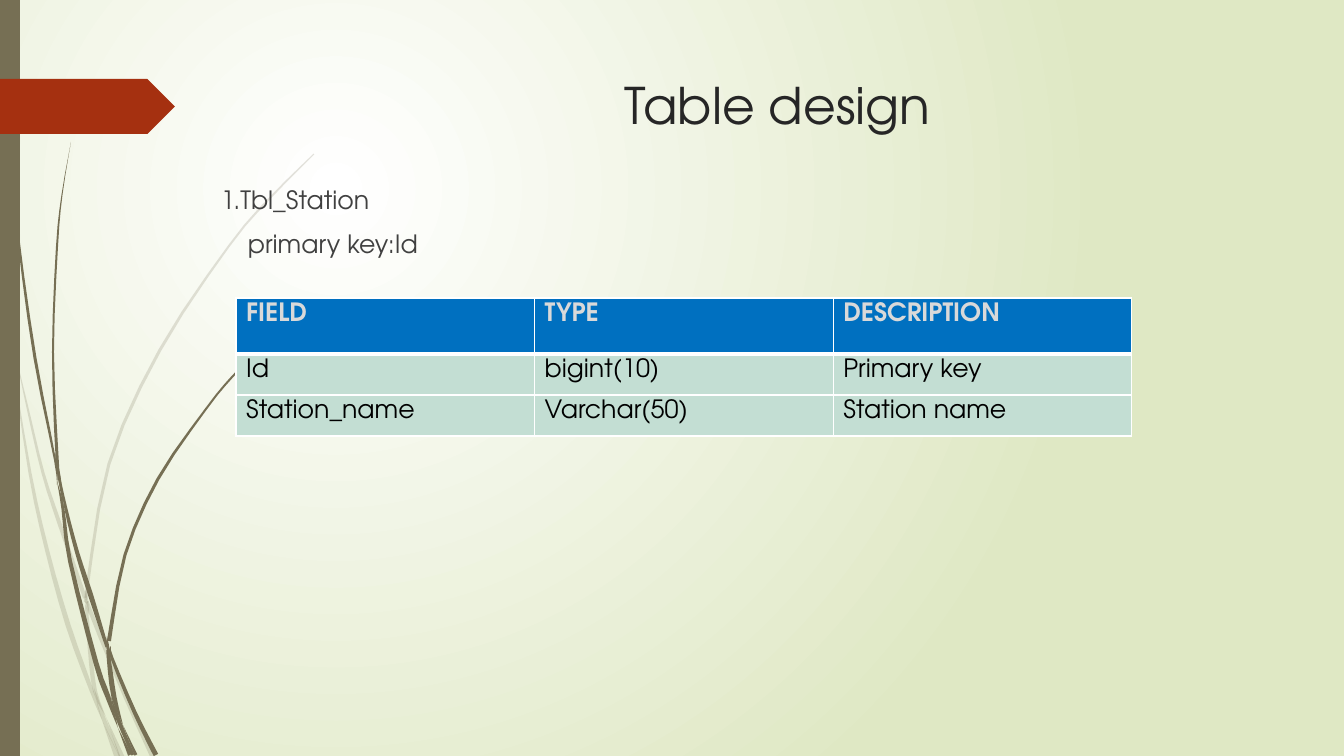
"""Build the "Table design" slide with its wispy side decoration."""
import math
from dataclasses import dataclass

from lxml import etree
from pptx import Presentation
from pptx import util as u
from pptx.dml.color import RGBColor
from pptx.enum import shapes, text
from pptx.oxml import ns

PX = 914400 / 100.8


@dataclass(frozen=True)
class Theme:
    font: str = "TeX Gyre Adventor"
    title_size: int = 36
    body_size: int = 18
    title: str = "262626"
    body: str = "404040"
    stem: str = "766F54"
    tag: str = "A53010"
    bg_inner: str = "FFFFFF"
    bg_outer: str = "DFE8C4"
    head_fill: str = "0070C0"
    head_text: str = "D9D9D9"
    cell_fill: str = "C3DED3"
    cell_text: str = "000000"
    border: str = "FFFFFF"


T = Theme()

PALE_BLADES = [
    [(0, 293, 4), (6, 325, 3), (11, 353, 0)],
    [(14, 348, 0), (28, 410, 2), (43, 473, 3), (60, 525, 4), (85, 598, 4)],
    [(89, 601, 0), (91, 613, 4), (126, 698, 4), (153, 757, 5)],
    [(106, 717, 0), (122, 757, 5)],
    [(11, 353, 0), (30, 473, 3), (47, 550, 4), (68, 625, 5), (91, 689, 4), (102, 720, 0)],
    [(85, 604, 0), (87, 615, 3), (90, 651, 4), (95, 691, 4), (106, 717, 0)],
    [(314, 154, 1), (270, 198, 2), (229, 246, 2), (160, 350, 3), (109, 464, 3),
     (87, 589, 3), (87, 601, 3)],
    [(102, 720, 0), (117, 757, 5)],
    [(86, 591, 1), (87, 604, 3), (89, 615, 0)],
    [(94, 688, 0), (103, 717, 4), (120, 757, 1)],
]
DARK_BLADES = [
    [(4, 0, 1), (7, 111, 1), (18, 235, 2), (35, 358, 3), (55, 460, 2), (57, 485, 0)],
    [(60, 476, 0), (66, 509, 3), (77, 552, 4), (91, 596, 5), (107, 647, 3)],
    [(111, 646, 0), (112, 658, 3), (135, 713, 4), (156, 755, 5)],
    [(57, 481, 0), (63, 509, 3), (70, 561, 4), (96, 663, 5), (108, 697, 5), (118, 728, 0)],
    [(71, 142, 0), (62, 195, 1), (57, 247, 2), (53, 352, 2), (57, 455, 3), (60, 476, 0)],
    [(123, 725, 0), (136, 755, 3)],
    [(55, 453, 0), (59, 476, 3), (64, 509, 0)],
    [(262, 347, 1), (233, 376, 2), (206, 409, 2), (158, 479, 3), (125, 555, 3),
     (109, 641, 4)],
    [(118, 728, 0), (130, 755, 4)],
    [(107, 650, 1), (109, 661, 4), (114, 697, 5), (123, 725, 0)],
    [(107, 636, 0), (108, 648, 3), (111, 661, 0)],
    [(111, 697, 0), (118, 719, 4), (133, 755, 3)],
]

ROWS = [
    ("FIELD", "TYPE", "DESCRIPTION"),
    ("Id", "bigint(10)", "Primary key"),
    ("Station_name", "Varchar(50)", "Station name"),
]


def emu(px):
    """Turn px into EMU."""
    return u.Emu(round(px * PX))


def rgb(code):
    """Turn a hex code into a colour."""
    return RGBColor.from_string(code)


def sub(parent, tag, **attrs):
    """Append a DrawingML child element."""
    return etree.SubElement(parent, ns.qn(tag), attrs)


def paint(sp, color):
    """Give a shape a flat fill without line or shadow."""
    sp.shadow.inherit = False
    sp.fill.solid()
    sp.fill.fore_color.rgb = rgb(color)
    sp.line.fill.background()


def style(p, size, color, bold=False):
    """Format the runs of a paragraph."""
    for r in p.runs:
        r.font.name = T.font
        r.font.size = u.Pt(size)
        r.font.bold = bold
        r.font.color.rgb = rgb(color)


def add_background(s):
    """Fill the background with a radial gradient."""
    fill = s.background.fill
    fill.gradient()
    for stop, color in zip(fill.gradient_stops, (T.bg_inner, T.bg_outer)):
        stop.color.rgb = rgb(color)
    grad = next(s.element.iter(ns.qn("a:gradFill")))
    grad.remove(grad.find(ns.qn("a:lin")))
    circle = sub(grad, "a:path", path="circle")
    sub(circle, "a:fillToRect", l="50000", t="50000", r="100000", b="100000")


def smooth(points, steps=3):
    """Run a Catmull-Rom curve through the points."""
    padded = [points[0], *points, points[-1]]
    curve = []
    for a, b, c, d in zip(padded, padded[1:], padded[2:], padded[3:]):
        for t in (i / steps for i in range(steps)):
            curve.append([
                (2 * q + (r - p) * t + (2 * p - 5 * q + 4 * r - v) * t ** 2
                 + (3 * q - p - 3 * r + v) * t ** 3) / 2
                for p, q, r, v in zip(a, b, c, d)])
    return curve + [points[-1]]


def add_blade(s, points, pale=False):
    """Draw a tapered blade along points of x, y and width."""
    curve = smooth(points)
    left, right = [], []
    for i, (x, y, width) in enumerate(curve):
        before, after = curve[max(i - 1, 0)], curve[min(i + 1, len(curve) - 1)]
        angle = math.atan2(after[1] - before[1], after[0] - before[0])
        half = max(width, 0) / 2
        dx, dy = math.sin(angle) * half, -math.cos(angle) * half
        left.append((emu(x + dx), emu(y + dy)))
        right.append((emu(x - dx), emu(y - dy)))
    outline = left + right[::-1]
    builder = s.shapes.build_freeform(*outline[0])
    builder.add_line_segments(outline[1:])
    sp = builder.convert_to_shape()
    paint(sp, T.stem)
    if pale:
        sub(next(sp.element.spPr.iter(ns.qn("a:srgbClr"))), "a:alpha", val="20000")


def add_block(s, kind, box, color):
    """Draw a flat preset shape."""
    paint(s.shapes.add_shape(kind, *map(emu, box)), color)


def add_text(s, box, lines, size, color, align=text.PP_ALIGN.LEFT):
    """Write lines, given as text and left indent, in a text box."""
    tf = s.shapes.add_textbox(*map(emu, box)).text_frame
    tf.word_wrap = True
    for i, (line, indent) in enumerate(lines):
        p = tf.add_paragraph() if i else tf.paragraphs[0]
        p.text = line
        p.alignment = align
        if i:
            p.space_before = u.Pt(10)
        if indent:
            p._p.get_or_add_pPr().set("marL", str(emu(indent)))
        style(p, size, color)


def add_borders(cell, bottom):
    """Outline a cell, with its own bottom width in points."""
    tcPr = cell._tc.get_or_add_tcPr()
    for side, width in zip("LRTB", (1, 1, 1, bottom)):
        ln = sub(tcPr, f"a:ln{side}", w=str(u.Pt(width)))
        sub(sub(ln, "a:solidFill"), "a:srgbClr", val=T.border)


def add_field_table(s, box, heights):
    """Add the table of fields."""
    table = s.shapes.add_table(len(ROWS), len(ROWS[0]), *map(emu, box)).table
    for i, (row, height) in enumerate(zip(ROWS, heights)):
        head = i == 0
        table.rows[i].height = emu(height)
        for j, value in enumerate(row):
            cell = table.cell(i, j)
            add_borders(cell, 3 if head else 1)
            cell.fill.solid()
            cell.fill.fore_color.rgb = rgb(T.head_fill if head else T.cell_fill)
            cell.text_frame.text = value
            style(cell.text_frame.paragraphs[0], T.body_size,
                  T.head_text if head else T.cell_text, head)


def main():
    """Build and save the slide."""
    prs = Presentation()
    prs.slide_width, prs.slide_height = emu(1344), emu(756)
    s = prs.slides.add_slide(prs.slide_layouts[6])
    add_background(s)
    for points in PALE_BLADES:
        add_blade(s, points, pale=True)
    for points in DARK_BLADES:
        add_blade(s, points)
    add_block(s, shapes.MSO_SHAPE.RECTANGLE, (0, 0, 20, 756), T.stem)
    add_block(s, shapes.MSO_SHAPE.PENTAGON, (0, 79, 175, 55), T.tag)
    add_text(s, (286, 69, 983, 89), [("Table design", 0)],
             T.title_size, T.title, text.PP_ALIGN.CENTER)
    add_text(s, (211, 179, 983, 505),
             [("1.Tbl_Station", 0), ("primary key:Id", 27)], T.body_size, T.body)
    add_field_table(s, (236, 298, 896, 138), (56, 41, 41))
    prs.save("out.pptx")


if __name__ == "__main__":
    main()
